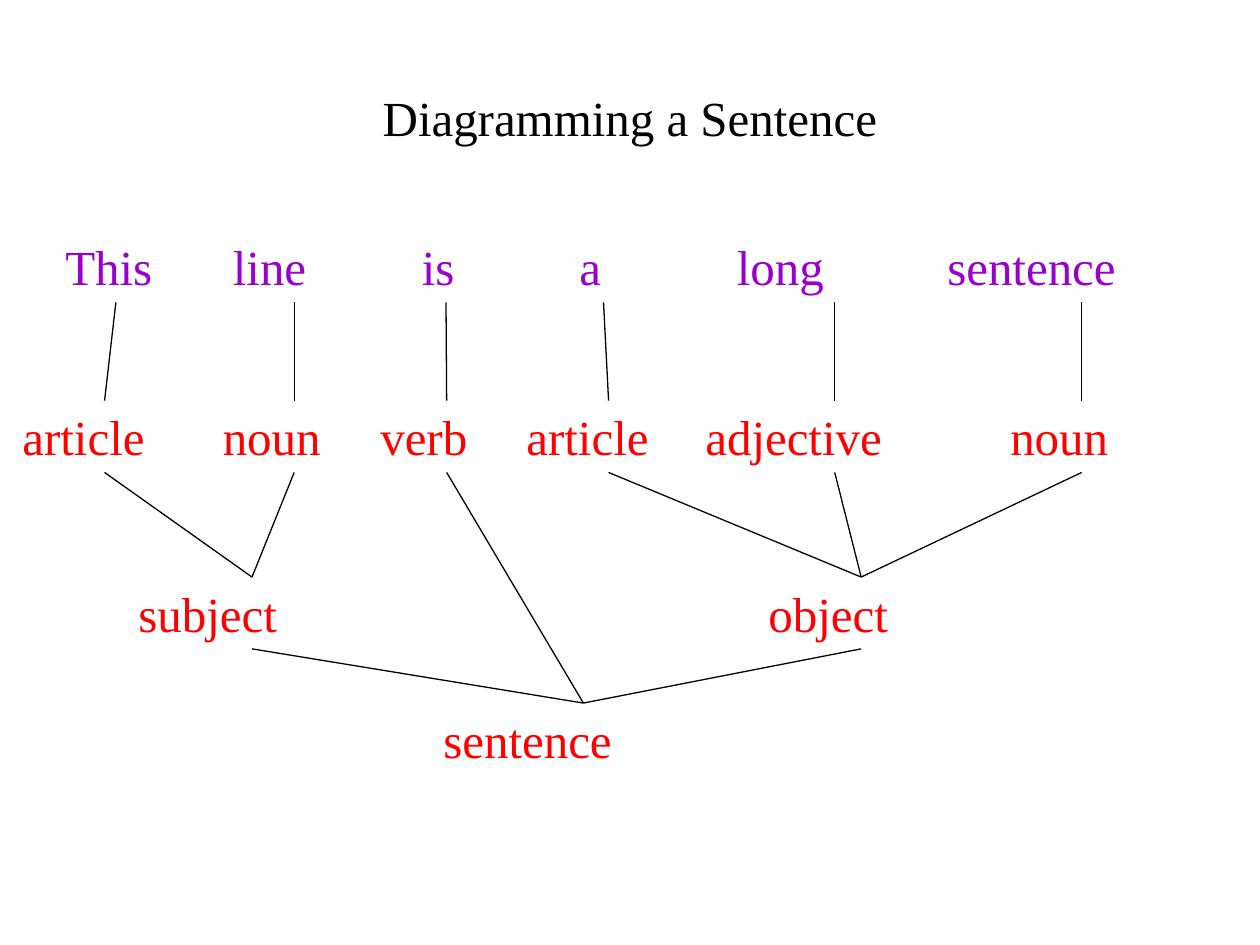
from lxml import etree
from pptx import Presentation
from pptx.dml.color import RGBColor
from pptx.enum.shapes import MSO_CONNECTOR
from pptx.enum.text import MSO_ANCHOR, PP_ALIGN
from pptx.oxml.ns import qn
from pptx.util import Inches, Pt

BLACK, PURPLE, RED = "000000", "9900CC", "FF0000"
TOP, BOTTOM = 0, 2  # connection sites of a box
ROW_HEIGHT = 0.57


def rgb(value):
    return RGBColor.from_string(value)


class Diagram:
    """Holds the style and the current slide."""
    font, size, line_width = "Times New Roman", Pt(28), Pt(0.75)

    def __init__(self, slide):
        self.s = slide

    def text(self, text, left, top, width, height=ROW_HEIGHT, color=RED,
             align=PP_ALIGN.LEFT, anchor=MSO_ANCHOR.TOP):
        box = self.s.shapes.add_textbox(Inches(left), Inches(top), Inches(width), Inches(height))
        tf = box.text_frame
        tf.word_wrap = True
        tf.vertical_anchor = anchor
        p = tf.paragraphs[0]
        p.text = text
        p.alignment = align
        p.font.name, p.font.size = self.font, self.size
        p.font.color.rgb = rgb(color)
        return box

    def row(self, top, items, color=RED):
        return [self.text(word, left, top, width, color=color) for word, left, width in items]

    def branch(self, parent, children):
        """Join the bottom of each child to the top of its parent below."""
        for child in children:
            line = self.s.shapes.add_connector(MSO_CONNECTOR.STRAIGHT, 0, 0, 0, 0)
            line.begin_connect(child, BOTTOM)
            line.end_connect(parent, TOP)
            line.line.width = self.line_width
            line.line.color.rgb = rgb(BLACK)
            etree.SubElement(line._element.spPr, qn("a:effectLst"))


def main():
    prs = Presentation()
    prs.slide_width, prs.slide_height = Inches(10), Inches(7.5)
    d = Diagram(prs.slides.add_slide(prs.slide_layouts[6]))

    d.text("Diagramming a Sentence", 0.5, 0.3, 9, 1.25, BLACK,
           PP_ALIGN.CENTER, MSO_ANCHOR.MIDDLE)
    words = d.row(1.83, [
        ("This", 0.42, 1), ("line", 1.75, 1.17), ("is", 3.25, 0.58),
        ("a", 4.5, 0.58), ("long", 5.75, 1.75), ("sentence", 7.42, 2.33),
    ], PURPLE)
    parts = d.row(3.18, [
        ("article", 0.08, 1.5), ("noun", 1.67, 1.33), ("verb", 2.92, 1.25),
        ("article", 4.08, 1.5), ("adjective", 5.5, 2.25), ("noun", 7.92, 1.33),
    ])
    subject, obj = d.row(4.58, [("subject", 1, 2), ("object", 6, 1.67)])
    sentence = d.text("sentence", 3.42, 5.58, 2.42)

    for part, word in zip(parts, words):
        d.branch(part, [word])
    d.branch(subject, parts[:2])
    d.branch(obj, parts[3:])
    d.branch(sentence, [subject, parts[2], obj])

    prs.save("out.pptx")


if __name__ == "__main__":
    main()
